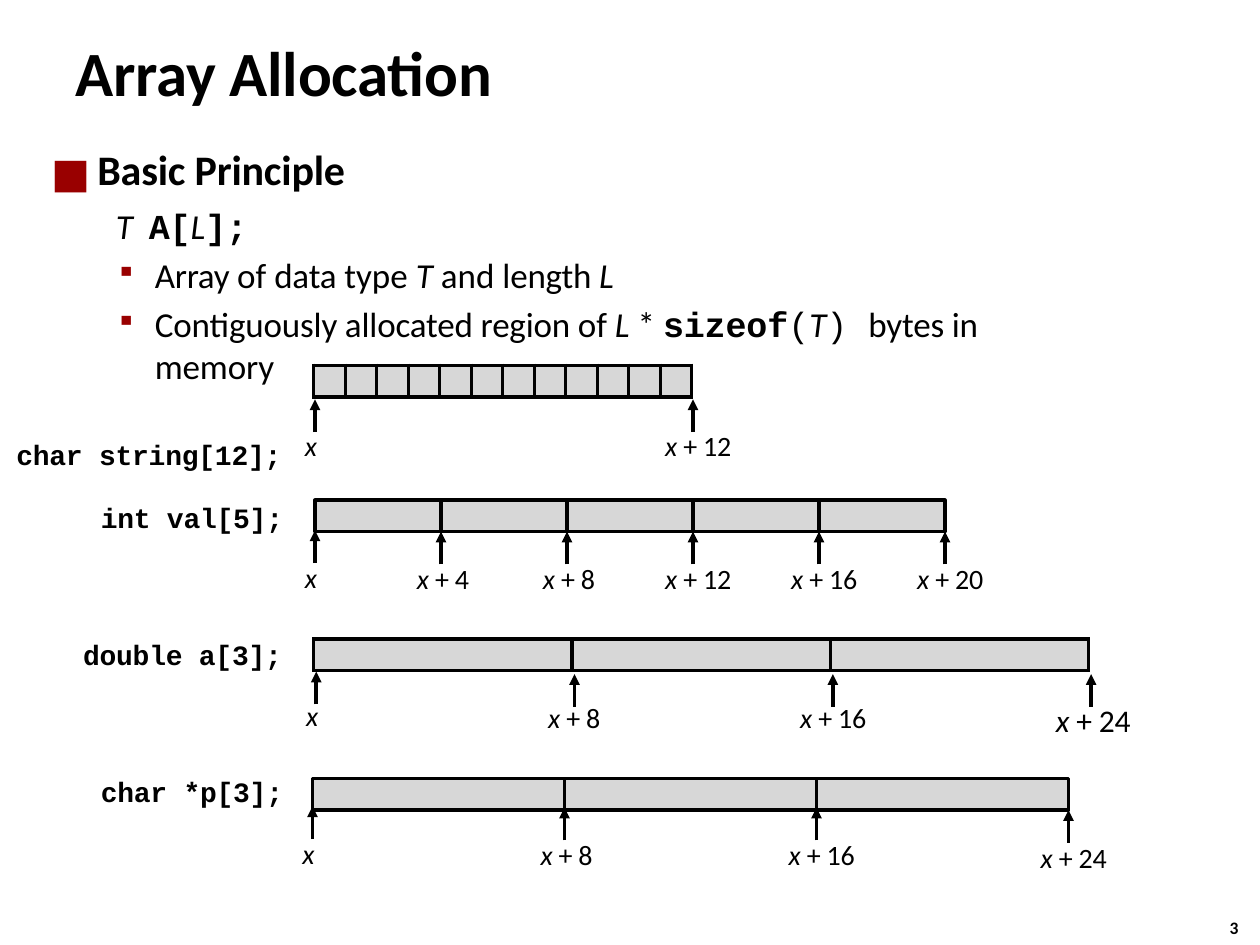
import pptx
import pptx.util
import pptx.dml.color
import pptx.oxml
import pptx.oxml.ns
import pptx.enum.shapes
import pptx.enum.text
from lxml import etree

Inches = pptx.util.Inches
Pt = pptx.util.Pt
RGBColor = pptx.dml.color.RGBColor
qn = pptx.oxml.ns.qn

BLACK = RGBColor(0x00, 0x00, 0x00)
RED = RGBColor(0x99, 0x00, 0x00)
GRAY = RGBColor(0xD7, 0xD7, 0xD7)
SANS, MONO = "Calibri", "Courier New"
HIGH = 0.25                                   # height of a memory cell
SHIFT = {1: 0.08, 5: 0.19, 6: 0.22}           # label offset by text length


def write(par, text, font=SANS, size=20, bold=False, ital=False,
          color=BLACK, spc=0, base=0):
    run = par.add_run()
    run.text = text
    run.font.name, run.font.size = font, Pt(size)
    run.font.bold, run.font.italic = bold, ital
    run.font.color.rgb = color
    props = run.font._element
    if spc:
        props.set("spc", str(round(spc * 100)))
    if base:
        props.set("baseline", str(base * 1000))


def box(slide, left, top, width, height, inset=0.02, wrap=False):
    frame = slide.shapes.add_textbox(
        Inches(left), Inches(top), Inches(width), Inches(height)).text_frame
    frame.margin_left = frame.margin_right = frame.margin_bottom = 0
    frame.margin_top = Inches(inset)
    frame.word_wrap = wrap
    return frame


def indent(par, left, hang=0, bullet=None):
    props = par._p.get_or_add_pPr()
    props.set("marL", str(Inches(left)))
    props.set("indent", str(-Inches(hang)))
    if bullet:
        tint = etree.SubElement(props, qn("a:buClr"))
        etree.SubElement(tint, qn("a:srgbClr"), val=str(RED))
        etree.SubElement(props, qn("a:buSzPct"), val="80000")
        etree.SubElement(props, qn("a:buChar"), char=bullet)


def body(slide):
    frame = box(slide, 0.12, 0.89, 8.63, 2.31, inset=0.08, wrap=True)
    head = frame.paragraphs[0]
    indent(head, 0.3)
    write(head, "⬛ ", font="Roboto", size=36, color=RED, base=-3)
    write(head, "Basic Principle", size=24, bold=True, spc=-0.1)

    code = {"font": MONO, "bold": True, "spc": -0.1}
    var = {"ital": True}
    lines = [
        (0.8, 0, None, 4, [("T", var), (" ", {"spc": 4.5}), ("A[", code),
                           ("L", var), ("];", code)]),
        (1.11, 0.31, "▪", 4, [
            ("Array ", {"spc": -0.2}), ("of ", {}), ("data ", {"spc": -0.1}),
            ("type ", {}), ("T ", var), ("and ", {}),
            ("length ", {"spc": -0.1}), ("L", var)]),
        (1.11, 0.31, "▪", 4, [
            ("Contiguously allocated region ", {"spc": -0.1}), ("of ", {}),
            ("L ", var), ("* ", {}), ("sizeof", code),
            ("(", {"font": MONO, "spc": -0.1}), ("T", var),
            (") ", {"font": MONO, "spc": -0.1}),
            ("bytes in memory", {"spc": -0.1})]),
        (0.01, 0, None, 29, [("char string[12];", {**code, "size": 16})]),
    ]
    for left, hang, bullet, gap, runs in lines:
        par = frame.add_paragraph()
        indent(par, left, hang, bullet)
        par.space_before = Pt(gap)
        for text, style in runs:
            write(par, text, **style)


def grid(slide, left, top, width, count):
    """Memory cells as a one-row table."""
    shape = slide.shapes.add_table(1, count, Inches(left), Inches(top),
                                   Inches(width * count), Inches(HIGH))
    table = shape.table
    table.rows[0].height = Inches(HIGH)
    for col in table.columns:
        col.width = Inches(width)
    for cell in table.iter_cells():
        cell.margin_left = cell.margin_right = 0
        cell.margin_top = cell.margin_bottom = 0
        props = cell._tc.get_or_add_tcPr()
        for side in ("lnL", "lnR", "lnT", "lnB"):
            edge = etree.SubElement(props, qn("a:" + side), w=str(Pt(2.25)))
            fill = etree.SubElement(edge, qn("a:solidFill"))
            etree.SubElement(fill, qn("a:srgbClr"), val=str(BLACK))
        cell.fill.solid()
        cell.fill.fore_color.rgb = GRAY
        etree.SubElement(cell.text_frame.paragraphs[0]._p,
                         qn("a:endParaRPr"), sz="1000")


def bar(slide, left, top, width, count):
    """Memory cells as adjoining rectangles."""
    for i in range(count):
        cell = slide.shapes.add_shape(
            pptx.enum.shapes.MSO_SHAPE.RECTANGLE, Inches(left + i * width),
            Inches(top), Inches(width), Inches(HIGH))
        cell.shadow.inherit = False
        cell.fill.solid()
        cell.fill.fore_color.rgb = GRAY
        cell.line.color.rgb = BLACK
        cell.line.width = Pt(2)


def arrow(slide, x, tip):
    line = slide.shapes.add_connector(
        pptx.enum.shapes.MSO_CONNECTOR.STRAIGHT, Inches(x),
        Inches(tip + 0.26), Inches(x), Inches(tip))
    line.line.color.rgb = BLACK
    line.line.width = Pt(2.04)
    etree.SubElement(line.line._get_or_add_ln(), qn("a:tailEnd"),
                     type="triangle")
    etree.SubElement(line._element.spPr, qn("a:effectLst"))


def mark(slide, x, tip, drop, num, size=16, pull=0):
    """Arrow with its address below."""
    arrow(slide, x, tip)
    parts = ["x ", f"+ {num}"] if num else ["x"]
    shift = SHIFT[len("".join(parts))] + pull
    width = 0.7 if num else 0.12
    par = box(slide, x - shift, tip + drop, width, 0.29).paragraphs[0]
    for text in parts:
        write(par, text, size=size, ital=text.startswith("x"), spc=-0.1)


def label(slide, text, left, top):
    par = box(slide, left, top, 2.3 - left, 0.29).paragraphs[0]
    write(par, text, font=MONO, size=16, bold=True, spc=-0.1)


def main():
    deck = pptx.Presentation()
    deck.slide_width, deck.slide_height = Inches(10), Inches(7.5)
    slide = deck.slides.add_slide(deck.slide_layouts[6])

    # Title and principle
    title = box(slide, 0.6, 0.25, 3.36, 0.63).paragraphs[0]
    write(title, "Array Allocation", size=36, bold=True, spc=-0.15)
    body(slide)

    # char string[12]
    grid(slide, 2.49, 2.9, 0.25, 12)
    for num in (0, 12):
        mark(slide, 2.5 + num * 0.25, 3.17, 0.21, num)

    # int val[5]
    label(slide, "int val[5];", 0.8, 3.95)
    bar(slide, 2.5, 3.97, 1, 5)
    for i in range(6):
        mark(slide, 2.5 + i, 4.22 if i else 4.21, 0.22, i * 4)

    # double a[3]
    label(slide, "double a[3];", 0.66, 5.04)
    grid(slide, 2.49, 5.07, 2.05, 3)
    for i in range(4):
        mark(slide, 2.51 + i * 2.05, 5.35 if i else 5.33, 0.19, i * 8,
             size=18 if i == 3 else 16, pull=i * 0.02)

    # char *p[3]
    label(slide, "char *p[3];", 0.8, 6.13)
    bar(slide, 2.48, 6.18, 2, 3)
    for i, tip in enumerate((6.4, 6.41, 6.41, 6.43)):
        mark(slide, 2.48 + i * 2, tip, 0.22, i * 8)

    # Page number
    page = box(slide, 9.76, 7.3, 0.1, 0.17, inset=0).paragraphs[0]
    page.line_spacing = Pt(10.5)
    write(page, "3", size=10, bold=True)

    deck.save("out.pptx")


if __name__ == "__main__":
    main()
